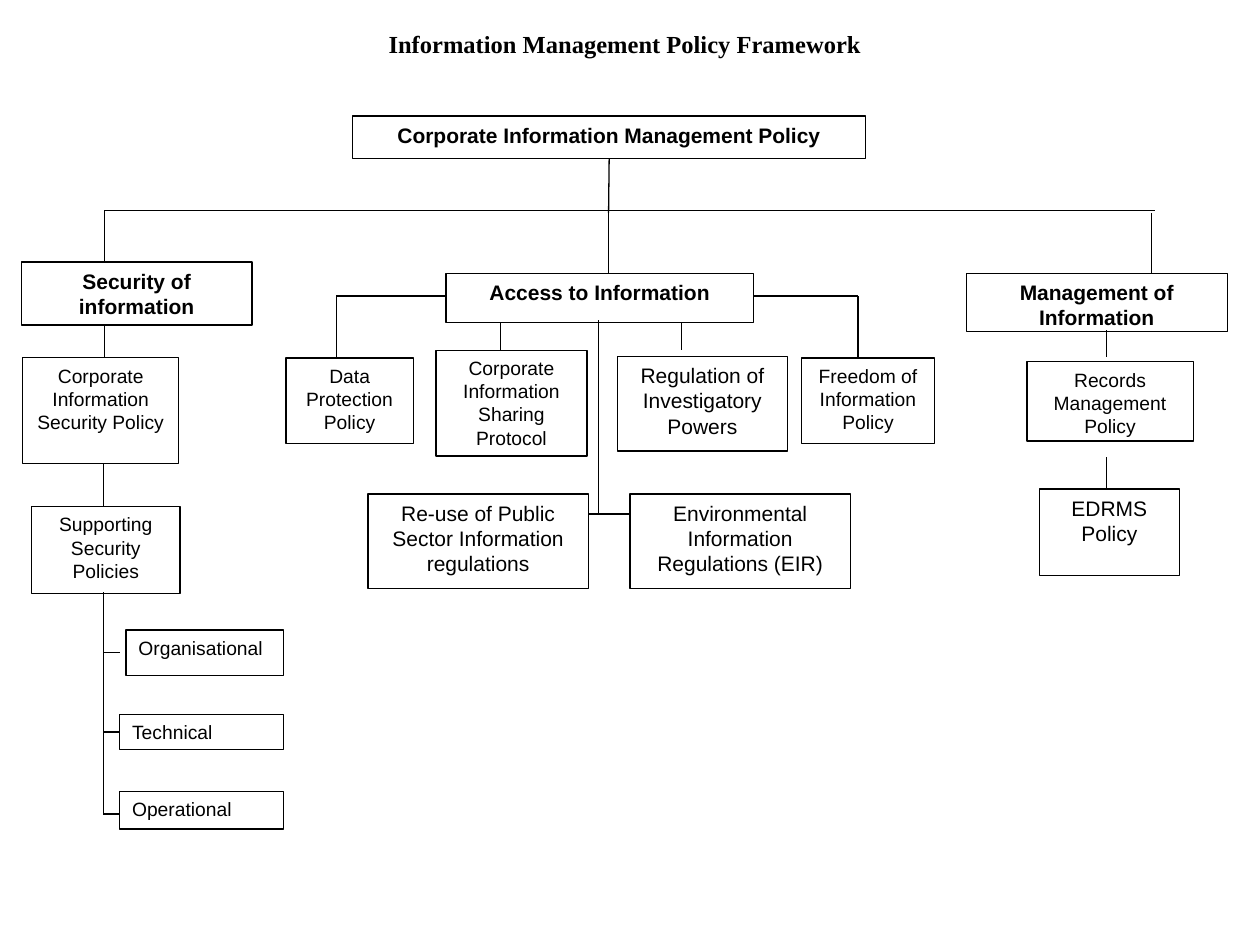
import pptx
import pptx.dml.color
import pptx.enum.shapes
import pptx.enum.text
import pptx.util
import lxml.etree

PX = 9144
LEFT = pptx.enum.text.PP_ALIGN.LEFT
CENTER = pptx.enum.text.PP_ALIGN.CENTER
THEME = {
    "ink": pptx.dml.color.RGBColor(0, 0, 0),
    "paper": pptx.dml.color.RGBColor(255, 255, 255),
    "rule": pptx.util.Pt(0.75),
    "title": {"name": "Times New Roman", "size": pptx.util.Pt(14), "bold": True},
    "heading": {"name": "Arial", "size": pptx.util.Pt(12), "bold": True},
    "large": {"name": "Arial", "size": pptx.util.Pt(12), "bold": False},
    "small": {"name": "Arial", "size": pptx.util.Pt(11), "bold": False},
}

framework = pptx.Presentation()
framework.slide_width, framework.slide_height = 1000 * PX, 750 * PX
slide = framework.slides.add_slide(framework.slide_layouts[6])


def write(holder, wording, style, align, anchor, bottom=5):
    frame = holder.text_frame
    layout = {
        "word_wrap": True, "vertical_anchor": anchor,
        "margin_left": 10 * PX, "margin_right": 10 * PX,
        "margin_top": 5 * PX, "margin_bottom": bottom * PX,
    }
    for name, value in layout.items():
        setattr(frame, name, value)
    frame.text = wording
    for paragraph in frame.paragraphs:
        paragraph.alignment = align
        for name, value in THEME[style].items():
            setattr(paragraph.font, name, value)
        paragraph.font.color.rgb = THEME["ink"]


def link(x1, y1, x2, y2):
    line = slide.shapes.add_connector(
        pptx.enum.shapes.MSO_CONNECTOR.STRAIGHT, x1 * PX, y1 * PX, x2 * PX, y2 * PX)
    line.line.color.rgb = THEME["ink"]
    line.line.width = THEME["rule"]
    lxml.etree.SubElement(line._element.spPr, pptx.oxml.ns.qn("a:effectLst"))
    return line


title = slide.shapes.add_textbox(75 * PX, 17 * PX, 842 * PX, 58 * PX)
write(title, "Information Management Policy Framework", "title", CENTER,
      pptx.enum.text.MSO_ANCHOR.MIDDLE, bottom=27)

policies = [
    ("Corporate Information Management Policy", 280, 92, 407, 34, "heading", CENTER),
    ("Security of information", 17, 208, 183, 50, "heading", CENTER),
    ("Access to Information", 354, 217, 244, 39, "heading", CENTER),
    ("Management of Information", 767, 217, 207, 46, "heading", CENTER),
    ("Corporate Information Security Policy", 18, 284, 124, 84, "small", CENTER),
    ("Data Protection Policy", 227, 284, 101, 68, "small", CENTER),
    ("Freedom of Information Policy", 636, 284, 106, 68, "small", CENTER),
    ("Corporate Information Sharing Protocol", 346, 278, 120, 84, "small", CENTER),
    ("Records Management Policy", 815, 287, 132, 63, "small", CENTER),
    ("Supporting Security Policies", 25, 402, 118, 69, "small", CENTER),
    ("EDRMS\nPolicy", 825, 388, 111, 69, "large", CENTER),
    ("Organisational", 100, 500, 125, 36, "small", LEFT),
    ("Technical", 95, 567, 130, 28, "small", LEFT),
    ("Operational", 95, 628, 130, 30, "small", LEFT),
    ("Regulation of Investigatory Powers", 490, 283, 135, 75, "large", CENTER),
    ("Re-use of Public Sector Information regulations", 292, 392, 175, 75, "large", CENTER),
    ("Environmental Information Regulations (EIR)", 500, 392, 175, 75, "large", CENTER),
]
boxes = {}
for wording, x, y, width, height, style, align in policies:
    box = slide.shapes.add_shape(
        pptx.enum.shapes.MSO_SHAPE.RECTANGLE, x * PX, y * PX, width * PX, height * PX)
    box.shadow.inherit = False
    box.fill.solid()
    box.fill.fore_color.rgb = THEME["paper"]
    box.line.color.rgb = THEME["ink"]
    box.line.width = THEME["rule"]
    write(box, wording, style, align, pptx.enum.text.MSO_ANCHOR.TOP)
    boxes[wording] = box

link(83, 167, 917, 167)
for x, top, bottom in [
    (83, 167, 208), (483, 169, 217), (914, 169, 217),
    (83, 258, 284), (82, 368, 402), (82, 470, 646),
    (397, 256, 278), (541, 256, 278), (475, 254, 408),
    (267, 235, 284), (681, 235, 284),
    (878, 262, 283), (878, 363, 388),
]:
    link(x, top, x, bottom)
for y, start, end in [
    (518, 82, 95), (646, 82, 95),
    (235, 354, 267), (235, 598, 681), (408, 467, 500),
]:
    link(start, y, end, y)

trunk = link(483, 126, 483, 169)
trunk.begin_connect(boxes["Corporate Information Management Policy"], 2)
technical_branch = link(82, 581, 95, 581)
technical_branch.end_connect(boxes["Technical"], 1)

framework.save("out.pptx")
